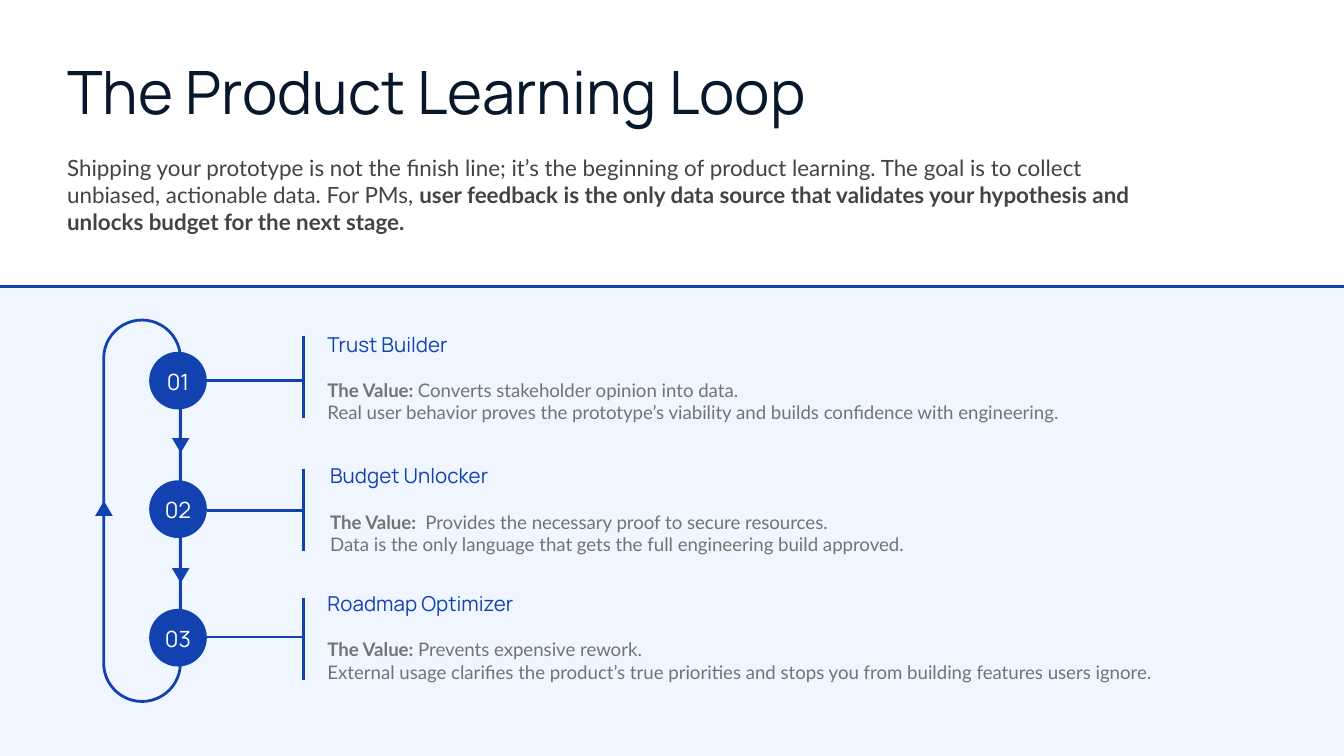
from lxml import etree
from pptx import Presentation
from pptx.dml.color import RGBColor
from pptx.enum import shapes, text
from pptx.oxml.ns import qn
from pptx.util import Cm, Pt

BLUE = RGBColor(0x12, 0x41, 0xB0)
PALE = RGBColor(0xEF, 0xF6, 0xFF)
NAVY = RGBColor(0x07, 0x18, 0x2C)
DARK = RGBColor(0x43, 0x43, 0x43)
GRAY = RGBColor(0x73, 0x73, 0x73)
WHITE = RGBColor(0xFF, 0xFF, 0xFF)
HEAD, BODY = "Manrope", "Lato"
WIDE, HIGH = 25.4, 14.29

TITLE = "The Product Learning Loop"
INTRO = [
    ("Shipping your prototype is not the finish line; it’s the beginning of product "
     "learning. The goal is to collect unbiased, actionable data. For PMs, ", False),
    ("user feedback is the only data source that validates your hypothesis and "
     "unlocks budget for the next stage.", True),
]
# heading, label, value, detail, text (left, top, width, height), bar top, branch height
STEPS = [
    ("Trust Builder", "The Value: ", "Converts stakeholder opinion into data. ",
     "Real user behavior proves the prototype’s viability and builds confidence "
     "with engineering.", (5.94, 6.02, 15.32, 2.54), 6.35, 7.19),
    ("Budget Unlocker", "The Value: ", " Provides the necessary proof to secure resources. ",
     "Data is the only language that gets the full engineering build approved.",
     (5.99, 8.51, 17.6, 2.16), 8.86, 9.65),
    ("Roadmap Optimizer", "The Value:", " Prevents expensive rework. ",
     "External usage clarifies the product’s true priorities and stops you from "
     "building features users ignore.", (5.94, 10.92, 17.25, 2.21), 11.3, 12.04),
]
ARROWS = [(3.25, 8.28, 180), (3.25, 10.74, 180), (1.8, 9.47, 0)]  # left, top, turn

DISC, PITCH, FIRST = 1.09, 2.43, 6.65
DISC_X, BAR_X, BAR = 2.82, 5.74, 1.55

deck = Presentation()
deck.slide_width, deck.slide_height = Cm(WIDE), Cm(HIGH)
slide = deck.slides.add_slide(deck.slide_layouts[6])


def draw(kind, box, fill=None, turn=0):
    """Add a filled shape, or a blue outline when no fill is given."""
    shape = slide.shapes.add_shape(kind, *map(Cm, box))
    shape.shadow.inherit = False
    shape.rotation = turn
    if fill is None:
        shape.fill.background()
        shape.line.color.rgb = BLUE
        shape.line.width = Pt(1.5)
    else:
        shape.fill.solid()
        shape.fill.fore_color.rgb = fill
        shape.line.fill.background()
    return shape


def rule(*ends):
    line = slide.shapes.add_connector(shapes.MSO_CONNECTOR.STRAIGHT, *map(Cm, ends))
    line.line.color.rgb = BLUE
    line.line.width = Pt(1.5)
    etree.SubElement(line._element.spPr, qn("a:effectLst"))


def frame(box, inset=0.25):
    area = slide.shapes.add_textbox(*map(Cm, box)).text_frame
    area.word_wrap = True
    area.margin_left = area.margin_right = Cm(inset)
    area.margin_top = area.margin_bottom = Cm(inset)
    return area


def write(para, words, size, face, color, bold=False):
    run = para.add_run()
    run.text = words
    font = run.font
    font.size, font.name, font.bold = Pt(size), face, bold
    font.color.rgb = color


draw(shapes.MSO_SHAPE.RECTANGLE, (0, 5.36, WIDE, HIGH - 5.36), PALE)

area = frame((1.27, 1.3, 22.86, 1.09), 0)
area.vertical_anchor = text.MSO_ANCHOR.MIDDLE
area.paragraphs[0].line_spacing = 0.8
write(area.paragraphs[0], TITLE, 32, HEAD, NAVY)

area = frame((1.02, 2.67, 21.23, 2.06))
for words, bold in INTRO:
    write(area.paragraphs[0], words, 12, BODY, DARK, bold)

rule(0, 5.41, WIDE, 5.41)
loop = draw(shapes.MSO_SHAPE.ROUNDED_RECTANGLE, (1.96, 6.05, 1.45, 7.21))
loop.adjustments[0] = 0.5

for i, (head, label, value, detail, box, bar, branch) in enumerate(STEPS):
    area = frame(box)
    write(area.paragraphs[0], head, 11, HEAD, BLUE)
    para = area.add_paragraph()
    para.space_before = Pt(12)
    write(para, label, 10, BODY, GRAY, True)
    write(para, value, 10, BODY, GRAY)
    para.add_line_break()
    write(para, detail, 10, BODY, GRAY)

    top = FIRST + i * PITCH
    draw(shapes.MSO_SHAPE.OVAL, (DISC_X, top, DISC, DISC), BLUE)
    para = frame((2.64, top + 0.05, 1.45, 1.02)).paragraphs[0]
    para.alignment = text.PP_ALIGN.CENTER
    write(para, f"{i + 1:02}", 12, HEAD, WHITE)
    rule(BAR_X, bar, BAR_X, bar + BAR)
    rule(BAR_X, branch, DISC_X + DISC, branch)

for left, top, turn in ARROWS:
    draw(shapes.MSO_SHAPE.ISOSCELES_TRIANGLE, (left, top, 0.33, 0.28), BLUE, turn)

deck.save("out.pptx")
